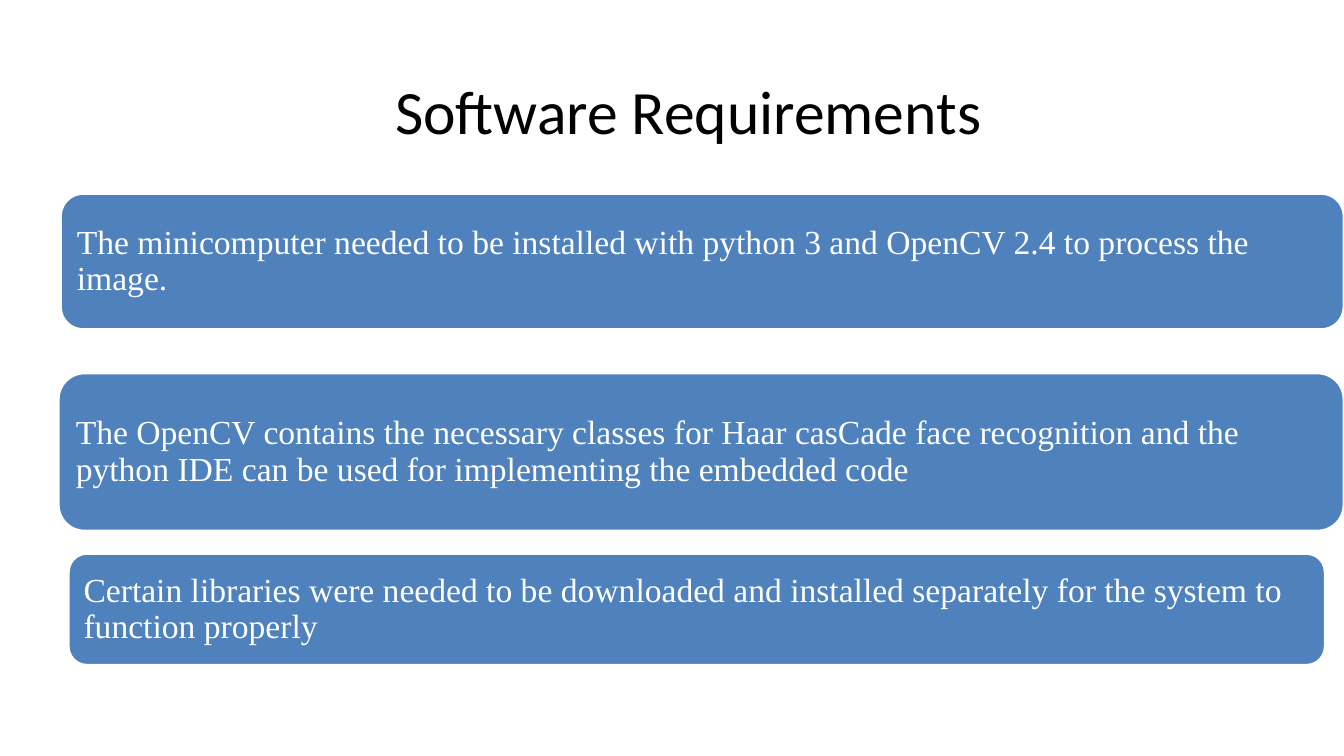
from pptx import Presentation
from pptx.dml.color import RGBColor
from pptx.enum.shapes import MSO_SHAPE
from pptx.enum.text import MSO_ANCHOR, PP_ALIGN
from pptx.util import Pt

ROUNDED = MSO_SHAPE.ROUNDED_RECTANGLE
MIDDLE = MSO_ANCHOR.MIDDLE
LEFT, CENTER = PP_ALIGN.LEFT, PP_ALIGN.CENTER

COLORS = {"panel": "4F81BD", "light": "FFFFFF", "title": "000000"}

# Each requirement: left, top, width, height in points, then its text
REQUIREMENTS = [
    ((43.2, 138.2, 916.8, 97.2),
     "The minicomputer needed to be installed with python 3 and "
     "OpenCV 2.4 to process the image."),
    ((41.6, 266.4, 918.4, 113),
     "The OpenCV contains the necessary classes for Haar casCade face "
     "recognition and the python IDE can be used for implementing the "
     "embedded code"),
    ((48.8, 395.3, 897.8, 79.9),
     "Certain libraries were needed to be downloaded and installed "
     "separately for the system to function properly"),
]


def color(name):
    return RGBColor.from_string(COLORS[name])


def write(tf, text, font, size, shade, align, inset):
    tf.text = text
    tf.word_wrap = True
    tf.vertical_anchor = MIDDLE
    tf.margin_left = tf.margin_right = Pt(inset)
    tf.margin_top = tf.margin_bottom = Pt(3.6)
    p = tf.paragraphs[0]
    p.alignment = align
    p.line_spacing = 0.9 if align == LEFT else 1.0
    r = p.runs[0]
    r.font.name = font
    r.font.size = Pt(size)
    r.font.color.rgb = color(shade)


def place_title(s, box, text):
    sp = s.shapes.title
    sp.left, sp.top, sp.width, sp.height = map(Pt, box)
    write(sp.text_frame, text, "Calibri", 44, "title", CENTER, 3.6)


def add_requirement(s, box, text):
    sp = s.shapes.add_shape(ROUNDED, *map(Pt, box))
    sp.shadow.inherit = False
    sp.fill.solid()
    sp.fill.fore_color.rgb = color("panel")
    sp.line.color.rgb = color("light")
    sp.line.width = Pt(2)
    write(sp.text_frame, text, "Times New Roman", 24, "light", LEFT, 7)


def main():
    prs = Presentation()
    prs.slide_width, prs.slide_height = Pt(960), Pt(540)
    s = prs.slides.add_slide(prs.slide_layouts[5])

    # Heading
    place_title(s, (59.8, 33.8, 864, 90), "Software Requirements")

    # Stacked requirement panels
    for box, text in REQUIREMENTS:
        add_requirement(s, box, text)

    prs.save("out.pptx")


if __name__ == "__main__":
    main()
